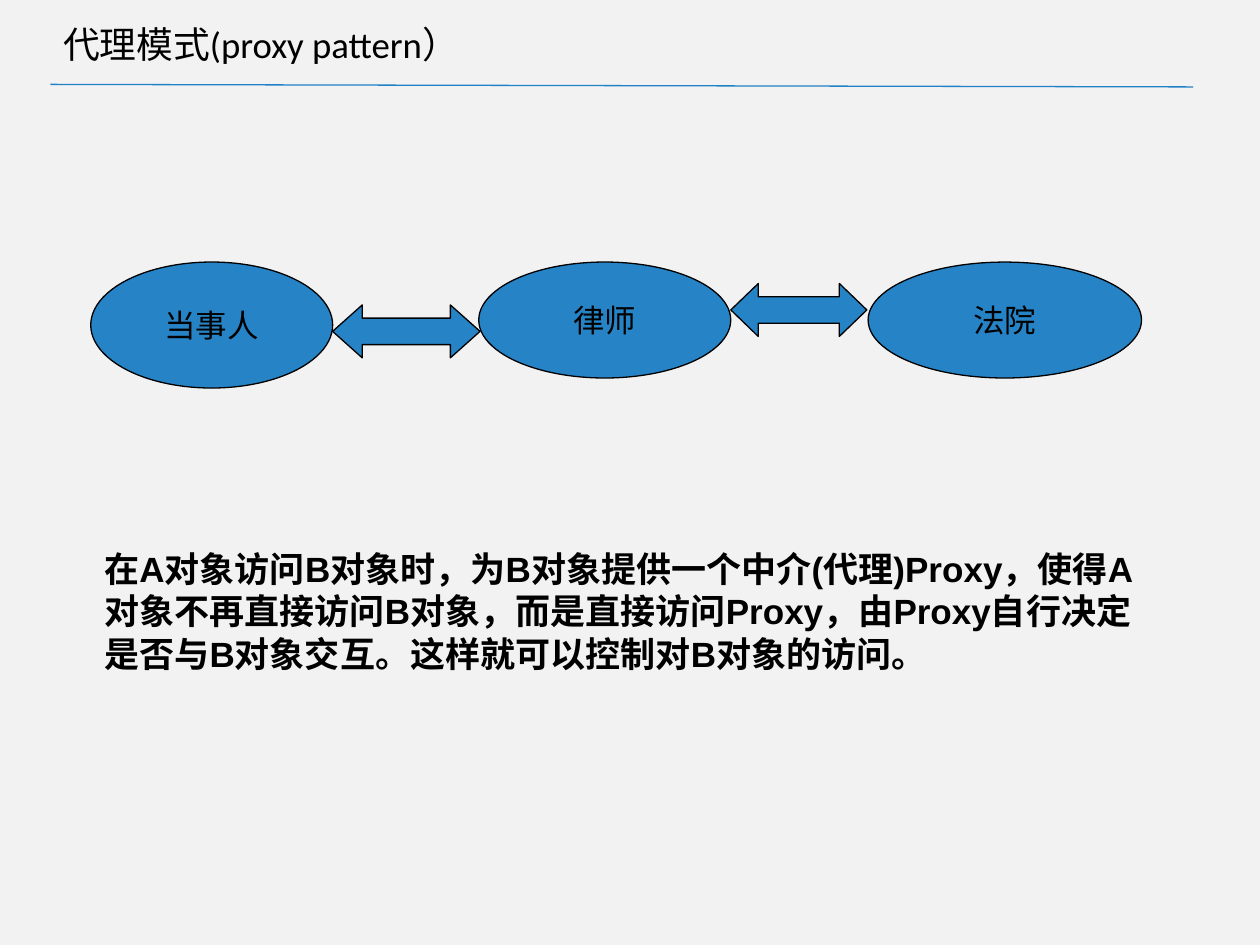
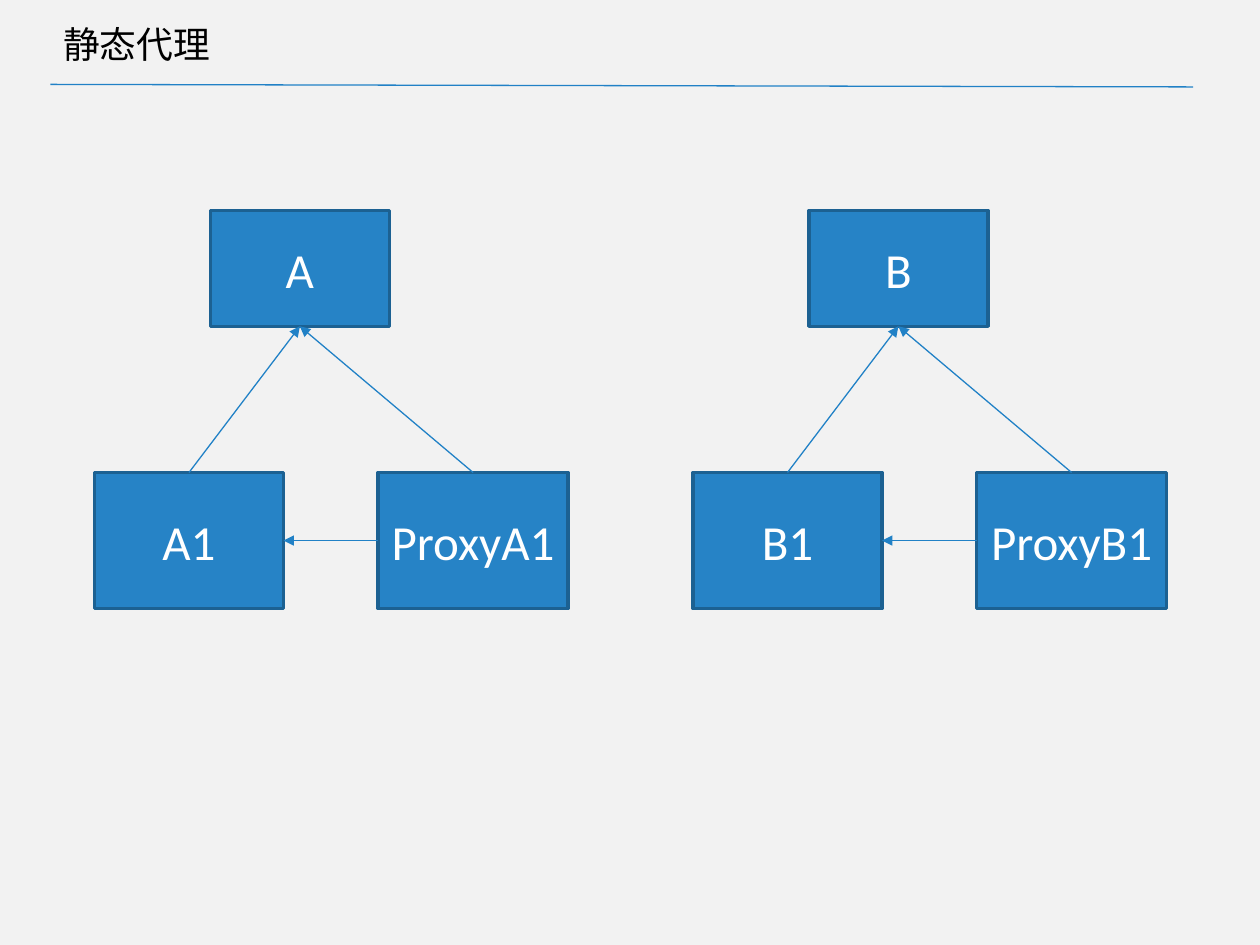
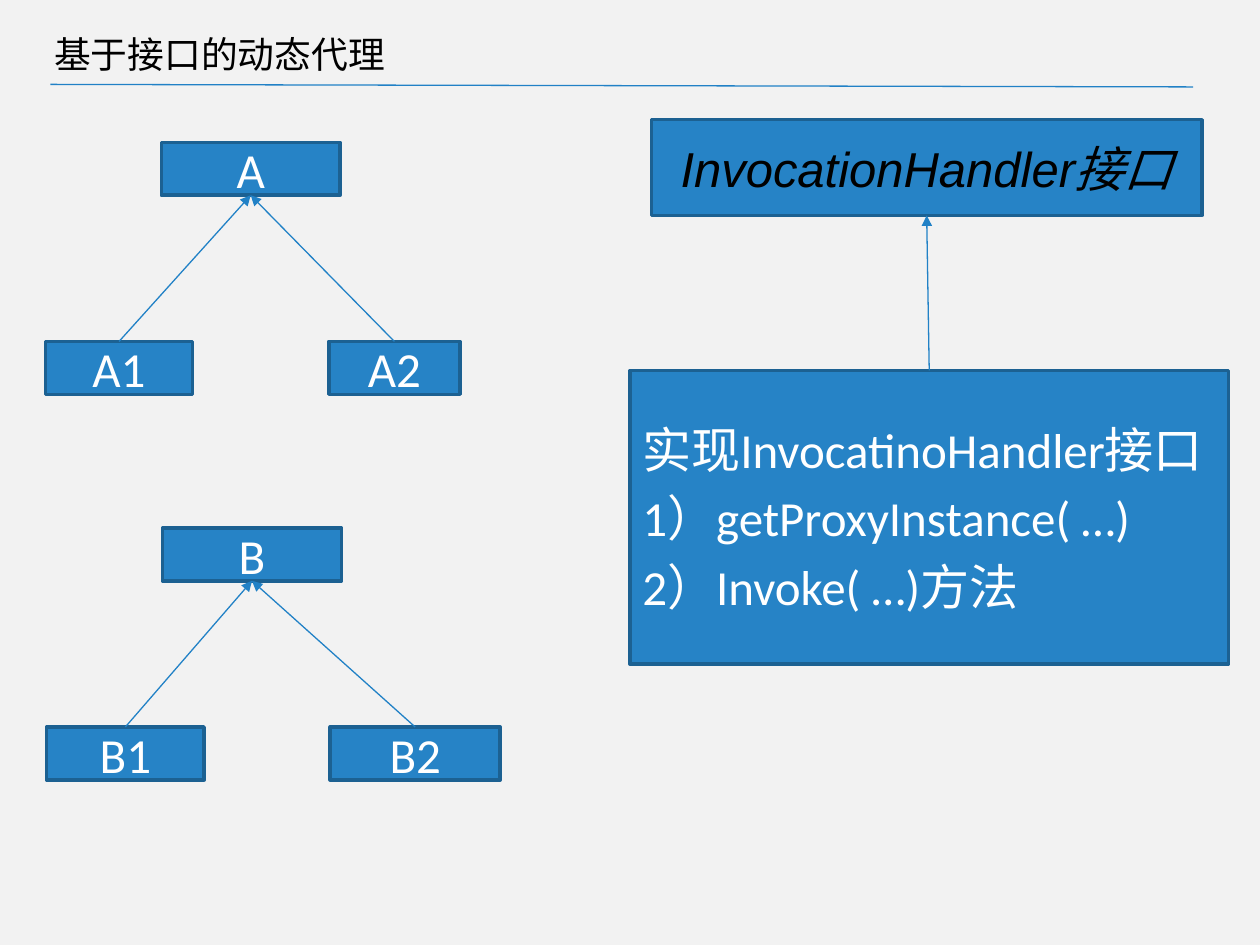
from lxml import etree
from pptx import Presentation
from pptx import util as u
from pptx.dml.color import RGBColor
from pptx.enum import shapes, text
from pptx.oxml import ns

COLORS = {
    "background": "F2F2F2",
    "fill": "2683C6",
    "border": "1C6192",
    "line": "2181C6",
    "black": "000000",
    "white": "FFFFFF",
}
TITLE_AREA = (0.4, 0.08, 8.62, 0.53)
TOP, LEFT, BOTTOM, RIGHT = 0, 1, 2, 3


def color(name):
    return RGBColor.from_string(COLORS[name])


def inches(*values):
    return [u.Inches(value) for value in values]


def place(shape, area):
    shape.left, shape.top, shape.width, shape.height = inches(*area)


def write(shape, words, size, font, ink, align=text.PP_ALIGN.LEFT, before=0, bold=False, italic=False):
    frame = shape.text_frame
    frame.text = words
    for para in frame.paragraphs:
        para.alignment = align
        para.space_before = u.Pt(before)
        for span in para.runs:
            span.font.size = u.Pt(size)
            span.font.name = font
            span.font.bold = bold
            span.font.italic = italic
            span.font.color.rgb = color(ink)
    return frame


def add_filled(page, kind, area, border, width):
    shape = page.shapes.add_shape(kind, *inches(*area))
    shape.shadow.inherit = False
    shape.fill.solid()
    shape.fill.fore_color.rgb = color("fill")
    shape.line.color.rgb = color(border)
    shape.line.width = u.Pt(width)
    return shape


def add_box(page, words, area, font="Calibri", ink="white", align=text.PP_ALIGN.CENTER, italic=False):
    box = add_filled(page, shapes.MSO_SHAPE.RECTANGLE, area, "border", 2)
    frame = write(box, words, 28, font, ink, align, before=5.6, italic=italic)
    frame.word_wrap = True
    frame.vertical_anchor = text.MSO_ANCHOR.MIDDLE
    return box


def add_role(page, words, area):
    role = add_filled(page, shapes.MSO_SHAPE.OVAL, area, "black", 0.75)
    frame = write(role, words, 18, "Arial", "black", text.PP_ALIGN.CENTER)
    frame.word_wrap = False
    frame.vertical_anchor = text.MSO_ANCHOR.MIDDLE


def add_exchange(page, area, head):
    arrow = add_filled(page, shapes.MSO_SHAPE.LEFT_RIGHT_ARROW, area, "black", 0.75)
    arrow.adjustments[0] = 0.5
    arrow.adjustments[1] = head


def add_line(page, start=(0, 0), end=(0, 0)):
    line = page.shapes.add_connector(shapes.MSO_CONNECTOR.STRAIGHT, *inches(*start, *end))
    line.line.color.rgb = color("line")
    line.line.width = u.Pt(0.75)
    etree.SubElement(line.element.spPr, ns.qn("a:effectLst"))
    return line


def join(page, source, source_side, target, target_side):
    arrow = add_line(page)
    arrow.begin_connect(source, source_side)
    arrow.end_connect(target, target_side)
    tail = etree.SubElement(arrow.line._get_or_add_ln(), ns.qn("a:tailEnd"))
    tail.set("type", "triangle")


def add_tree(page, parent, *children):
    root = add_box(page, *parent)
    leaves = [add_box(page, *child) for child in children]
    for leaf in leaves:
        join(page, leaf, TOP, root, BOTTOM)
    return leaves


def style_layout(deck):
    layout = deck.slide_layouts[5]
    layout.background.fill.solid()
    layout.background.fill.fore_color.rgb = color("background")
    place(layout.placeholders[0], TITLE_AREA)
    return layout


def add_rule(page, layout):
    rule = add_line(page, (0.4, 0.67), (9.47, 0.69)).element
    rule.nvCxnSpPr.cNvPr.set("id", "20")
    layout.shapes.element.append(rule)


def add_page(deck, layout, heading):
    page = deck.slides.add_slide(layout)
    title = page.shapes.title
    frame = write(title, heading, 21, "Calibri", "black")
    frame.auto_size = text.MSO_AUTO_SIZE.NONE
    frame.vertical_anchor = text.MSO_ANCHOR.MIDDLE
    return page


def build_pattern(page):
    add_role(page, "当事人", (0.72, 2.08, 1.92, 1))
    add_role(page, "律师", (3.8, 2.08, 2, 0.92))
    add_role(page, "法院", (6.89, 2.08, 2.17, 0.92))
    add_exchange(page, (5.8, 2.25, 1.08, 0.42), 0.52)
    add_exchange(page, (2.64, 2.42, 1.17, 0.42), 0.56)
    summary = page.shapes.add_textbox(*inches(0.73, 4.3, 8.5, 1.1))
    frame = write(
        summary,
        "在A对象访问B对象时，为B对象提供一个中介(代理)Proxy，"
        "使得A对象不再直接访问B对象，而是直接访问Proxy，"
        "由Proxy自行决定是否与B对象交互。这样就可以控制对B对象的访问。",
        20, "Arial", "black", before=10, bold=True,
    )
    frame.word_wrap = True
    frame.auto_size = text.MSO_AUTO_SIZE.SHAPE_TO_FIT_TEXT


def build_static(page):
    for index, name in enumerate("AB"):
        left = 0.75 + 4.75 * index
        target, proxy = add_tree(
            page,
            (name, (left + 0.92, 1.67, 1.42, 0.92)),
            (f"{name}1", (left, 3.75, 1.5, 1.08)),
            (f"Proxy{name}1", (left + 2.25, 3.75, 1.51, 1.08)),
        )
        join(page, proxy, LEFT, target, RIGHT)


def build_dynamic(page):
    place(page.shapes.title, (0.33, 0.16, 8.62, 0.53))
    for name, left, top, widths in (("A", 0.36, 1.13, (1.17, 1.04)), ("B", 0.37, 4.19, (1.25, 1.35))):
        add_tree(
            page,
            (name, (left + 0.92, top, 1.42, 0.42)),
            (f"{name}1", (left, top + 1.58, widths[0], 0.42)),
            (f"{name}2", (left + 2.25, top + 1.58, widths[1], 0.42)),
        )
    interface = add_box(
        page, "InvocationHandler接口", (5.17, 0.95, 4.37, 0.76), "Arial", "black", italic=True
    )
    handler = add_box(
        page,
        "实现InvocatinoHandler接口\n1）getProxyInstance( …)\n2）Invoke( …)方法",
        (5, 2.94, 4.75, 2.33),
        align=text.PP_ALIGN.LEFT,
    )
    join(page, handler, TOP, interface, BOTTOM)


def main():
    deck = Presentation()
    deck.slide_width, deck.slide_height = inches(10, 7.5)
    layout = style_layout(deck)
    pattern = add_page(deck, layout, "代理模式(proxy pattern）")
    add_rule(pattern, layout)
    build_pattern(pattern)
    build_static(add_page(deck, layout, "静态代理"))
    build_dynamic(add_page(deck, layout, "基于接口的动态代理"))
    deck.save("out.pptx")


if __name__ == "__main__":
    main()
